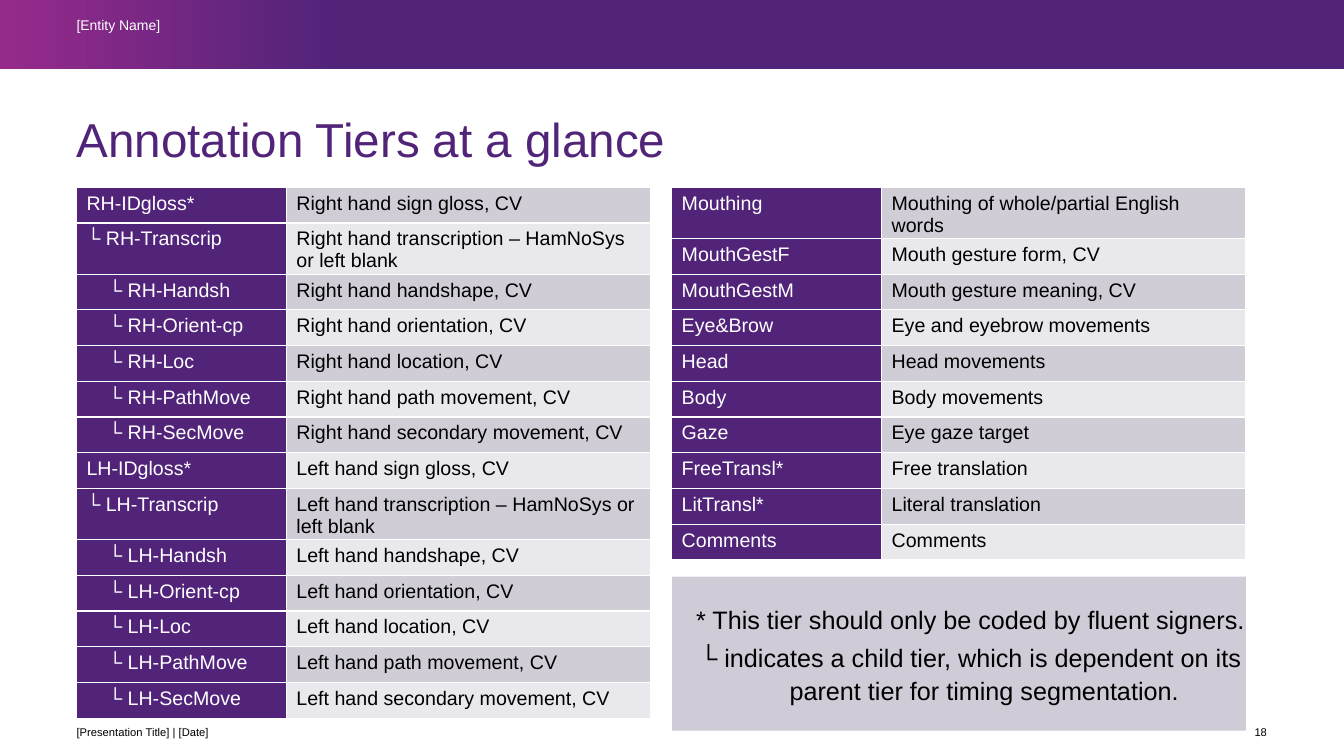
from dataclasses import dataclass

from lxml.etree import SubElement
from pptx import Presentation
from pptx.dml.color import RGBColor
from pptx.enum.shapes import MSO_SHAPE
from pptx.enum.text import MSO_ANCHOR, PP_ALIGN
from pptx.oxml import parse_xml
from pptx.oxml.ns import nsdecls, qn
from pptx.util import Cm, Pt

PURPLE = RGBColor(0x51, 0x24, 0x7A)
MAGENTA = RGBColor(0x96, 0x2A, 0x8B)
BAND_DARK = RGBColor(0xD0, 0xCD, 0xD7)
BAND_LIGHT = RGBColor(0xE9, 0xE8, 0xEC)
NOTE_FILL = RGBColor(0xD0, 0xCC, 0xD7)
WHITE = RGBColor(0xFF, 0xFF, 0xFF)
BLACK = RGBColor(0, 0, 0)

FONT = "Arial"
TABLE_TOP, ROW_HEIGHT = Cm(4.72), Cm(0.9)
COLUMN_WIDTHS = (Cm(5.29), Cm(9.17))
CELL_MARGIN, CELL_BOTTOM, CHILD_INDENT = Cm(0.25), Cm(0.05), Cm(0.55)


@dataclass(frozen=True)
class Tier:
    name: str
    meaning: str
    indented: bool = False


@dataclass(frozen=True)
class Label:
    text: str
    left: float
    top: float
    width: float
    height: float
    size: float
    color: RGBColor
    anchor: MSO_ANCHOR = MSO_ANCHOR.MIDDLE
    align: PP_ALIGN = PP_ALIGN.LEFT
    line_spacing: float = 1.0


def hand_tiers(prefix: str, side: str) -> list[Tier]:
    """Tiers that both hands share."""
    features = (
        ("Handsh", "handshape"),
        ("Orient-cp", "orientation"),
        ("Loc", "location"),
        ("PathMove", "path movement"),
        ("SecMove", "secondary movement"),
    )
    return [
        Tier(f"{prefix}-IDgloss*", f"{side} hand sign gloss, CV"),
        Tier(f"└ {prefix}-Transcrip", f"{side} hand transcription – HamNoSys or left blank"),
        *(Tier(f"└ {prefix}-{code}", f"{side} hand {feature}, CV", True) for code, feature in features),
    ]


HAND_TIERS = hand_tiers("RH", "Right") + hand_tiers("LH", "Left")
OTHER_TIERS = [
    Tier("Mouthing", "Mouthing of whole/partial English words"),
    Tier("MouthGestF", "Mouth gesture form, CV"),
    Tier("MouthGestM", "Mouth gesture meaning, CV"),
    Tier("Eye&Brow", "Eye and eyebrow movements"),
    Tier("Head", "Head movements"),
    Tier("Body", "Body movements"),
    Tier("Gaze", "Eye gaze target"),
    Tier("FreeTransl*", "Free translation"),
    Tier("LitTransl*", "Literal translation"),
    Tier("Comments", "Comments"),
]
NOTES = (
    "* This tier should only be coded by fluent signers.",
    "└ indicates a child tier, which is dependent on its parent tier for timing segmentation.",
)
LABELS = (
    Label("Annotation Tiers at a glance", 1.93, 2.92, 30, 1.3, 34, PURPLE, line_spacing=0.9),
    Label("[Entity Name]", 1.93, 0.5, 9.32, 0.79, 10, WHITE, MSO_ANCHOR.TOP, line_spacing=0.8),
    Label("[Presentation Title] | [Date]", 1.93, 18.11, 9.32, 0.66, 8, BLACK),
    Label("18", 31.14, 18.11, 0.79, 0.66, 8, BLACK, align=PP_ALIGN.RIGHT),
)


def apply_format(target, values: dict) -> None:
    for name, value in values.items():
        setattr(target, name, value)


def write_text(paragraph, text: str, size: float, color: RGBColor) -> None:
    run = paragraph.add_run()
    run.text = text
    apply_format(run.font, {"name": FONT, "size": Pt(size), "bold": False})
    run.font.color.rgb = color


def prepare_frame(text_frame, anchor: MSO_ANCHOR) -> None:
    apply_format(text_frame, {
        "word_wrap": True, "vertical_anchor": anchor,
        "margin_left": 0, "margin_right": 0, "margin_top": 0, "margin_bottom": 0,
    })


def add_label(slide, label: Label) -> None:
    box = slide.shapes.add_textbox(Cm(label.left), Cm(label.top), Cm(label.width), Cm(label.height))
    prepare_frame(box.text_frame, label.anchor)
    paragraph = box.text_frame.paragraphs[0]
    apply_format(paragraph, {"alignment": label.align, "line_spacing": label.line_spacing})
    write_text(paragraph, label.text, label.size, label.color)


def add_rectangle(slide, left: Cm, top: Cm, width: Cm, height: Cm):
    shape = slide.shapes.add_shape(MSO_SHAPE.RECTANGLE, left, top, width, height)
    shape.shadow.inherit = False
    shape.line.fill.background()
    return shape


def add_borders(cell) -> None:
    properties = cell._tc.get_or_add_tcPr()
    for position, side in enumerate(("lnL", "lnR", "lnT", "lnB")):
        border = parse_xml(f'<a:{side} {nsdecls("a")} w="{Pt(1)}"/>')
        fill = SubElement(border, qn("a:solidFill"))
        SubElement(fill, qn("a:srgbClr"), val=str(WHITE))
        properties.insert(position, border)


def fill_cell(cell, text: str, fill: RGBColor, color: RGBColor, indent: int = 0) -> None:
    cell.fill.solid()
    cell.fill.fore_color.rgb = fill
    apply_format(cell, {"margin_left": CELL_MARGIN + indent, "margin_bottom": CELL_BOTTOM})
    write_text(cell.text_frame.paragraphs[0], text, 14, color)
    add_borders(cell)


def add_tier_table(slide, left: Cm, tiers: list[Tier]) -> None:
    table = slide.shapes.add_table(
        len(tiers), 2, left, TABLE_TOP, sum(COLUMN_WIDTHS), ROW_HEIGHT * len(tiers)
    ).table
    apply_format(table, {"first_row": False, "horz_banding": False})
    for column, width in zip(table.columns, COLUMN_WIDTHS):
        column.width = width
    for index, tier in enumerate(tiers):
        table.rows[index].height = ROW_HEIGHT
        band = BAND_LIGHT if index % 2 else BAND_DARK
        indent = CHILD_INDENT if tier.indented else 0
        fill_cell(table.cell(index, 0), tier.name, PURPLE, WHITE, indent)
        fill_cell(table.cell(index, 1), tier.meaning, band, BLACK)


def add_header_band(slide, width: int) -> None:
    band = add_rectangle(slide, 0, 0, width, Cm(1.75))
    band.fill.gradient()
    band.fill.gradient_angle = 0
    for stop, position, color in zip(band.fill.gradient_stops, (0, 0.25), (MAGENTA, PURPLE)):
        stop.position = position
        stop.color.rgb = color


def add_notes_panel(slide) -> None:
    panel = add_rectangle(slide, Cm(16.94), Cm(14.53), Cm(14.46), Cm(3.88))
    panel.fill.solid()
    panel.fill.fore_color.rgb = NOTE_FILL
    frame = panel.text_frame
    prepare_frame(frame, MSO_ANCHOR.MIDDLE)
    for index, note in enumerate(NOTES):
        paragraph = frame.add_paragraph() if index else frame.paragraphs[0]
        apply_format(paragraph, {"alignment": PP_ALIGN.CENTER, "line_spacing": 1.1, "space_before": Pt(3)})
        properties = paragraph._p.get_or_add_pPr()
        properties.set("marL", str(Cm(1.27)))
        properties.set("indent", str(-Cm(0.7)))
        write_text(paragraph, note, 18, BLACK)


def main() -> None:
    presentation = Presentation()
    apply_format(presentation, {"slide_width": Cm(33.87), "slide_height": Cm(19.05)})
    slide = presentation.slides.add_slide(presentation.slide_layouts[6])

    # Header band and notes
    add_header_band(slide, presentation.slide_width)
    add_notes_panel(slide)

    # Tier tables
    add_tier_table(slide, Cm(1.93), HAND_TIERS)
    add_tier_table(slide, Cm(16.93), OTHER_TIERS)

    # Title, header and footer texts
    for label in LABELS:
        add_label(slide, label)

    presentation.save("out.pptx")


if __name__ == "__main__":
    main()
